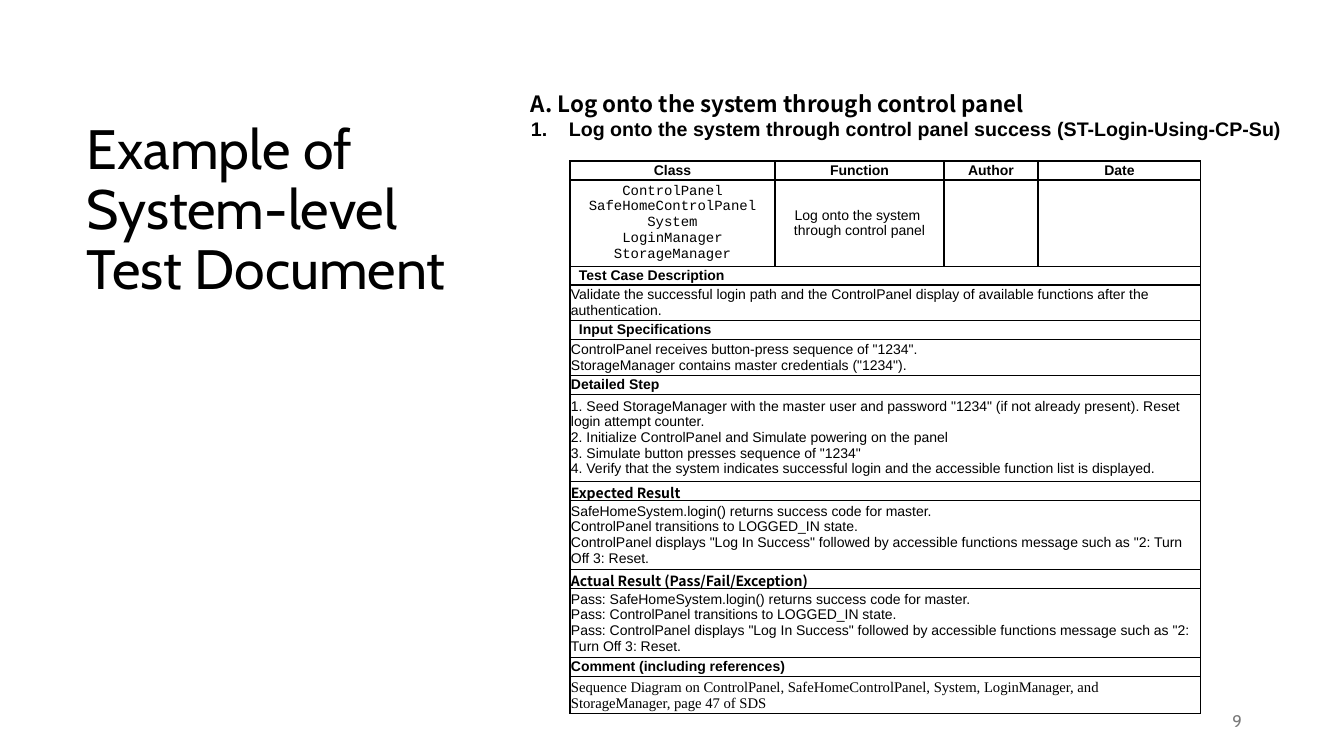
import pptx
import pptx.util
import pptx.dml.color
import pptx.enum.text
import pptx.oxml
import pptx.oxml.ns

PX = 914400 / 100.8
COLORS = {"white": "FFFFFF", "black": "000000", "gray": "797979"}
ALIGN = pptx.enum.text.PP_ALIGN
ANCHOR = pptx.enum.text.MSO_ANCHOR
CJK = "Noto Sans CJK KR"


def px(n):
    return pptx.util.Emu(round(n * PX))


def write(p, text, size, font, bold=False, align=ALIGN.LEFT, color="black"):
    p.text = text
    p.alignment = align
    p.font.size = pptx.util.Pt(size)
    p.font.name = font
    p.font.bold = bold
    p.font.color.rgb = pptx.dml.color.RGBColor.from_string(COLORS[color])
    pPr = p._p.get_or_add_pPr()
    for tag in ("ea", "cs"):
        pPr.defRPr.append(pptx.oxml.parse_xml(
            f'<a:{tag} {pptx.oxml.ns.nsdecls("a")} typeface="{font}"/>'))
    return pPr


prs = pptx.Presentation()
prs.slide_width, prs.slide_height = px(1344), px(756)
s = prs.slides.add_slide(prs.slide_layouts[6])

# Title, heading and page number boxes
boxes = []
for left, top, width, height, anchor in [
    (77, 137, 382, 149, ANCHOR.MIDDLE),
    (521, 85, 789, 61, ANCHOR.TOP),
    (950, 701, 302, 40, ANCHOR.MIDDLE),
]:
    tf = s.shapes.add_textbox(px(left), px(top), px(width), px(height)).text_frame
    tf.word_wrap = True
    tf.vertical_anchor = anchor
    boxes.append(tf)
title, heading, number = boxes

write(title.paragraphs[0], "Example of System-level Test Document", 39.6, "Cabin")
title.paragraphs[0].line_spacing = 0.9
write(number.paragraphs[0], "9", 12, "Cabin", align=ALIGN.RIGHT, color="gray")
write(heading.paragraphs[0], "A. Log onto the system through control panel", 16, CJK, True)
pPr = write(heading.add_paragraph(),
            "Log onto the system through control panel success (ST-Login-Using-CP-Su)",
            14, "Arial", True)
pPr.set("marL", str(px(38)))
pPr.set("indent", str(-px(38)))
pPr.insert(0, pptx.oxml.parse_xml(
    f'<a:buAutoNum {pptx.oxml.ns.nsdecls("a")} type="arabicPeriod"/>'))

# Table content: the top grid, then full-width sections
grid = [
    ["Class", "Function", "Author", "Date"],
    [["ControlPanel\vSafeHomeControlPanel\vSystem", "LoginManager", "StorageManager"],
     "Log onto the system \vthrough control panel", "", ""],
]
# heading, heading font, first-line indent, body lines, body font, body size
sections = [
    ("Test Case Description", "Arial", 8, [
        "Validate the successful login path and the ControlPanel display of "
        "available functions after the authentication."], "Arial", 10),
    ("Input Specifications", "Arial", 8, [
        'ControlPanel receives button-press sequence of "1234".',
        'StorageManager contains master credentials ("1234").'], "Arial", 10),
    ("Detailed Step", "Arial", 0, [
        '1. Seed StorageManager with the master user and password "1234" '
        "(if not already present). Reset login attempt counter.",
        "2. Initialize ControlPanel and Simulate powering on the panel",
        '3. Simulate button presses sequence of "1234"',
        "4. Verify that the system indicates successful login and the "
        "accessible function list is displayed."], "Arial", 10),
    ("Expected Result", CJK, 0, [
        "SafeHomeSystem.login() returns success code for master.",
        "ControlPanel transitions to LOGGED_IN state.",
        'ControlPanel displays "Log In Success" followed by accessible '
        'functions message such as "2: Turn Off 3: Reset.'], "Arial", 10),
    ("Actual Result (Pass/Fail/Exception)", CJK, 0, [
        "Pass: SafeHomeSystem.login() returns success code for master.",
        "Pass: ControlPanel transitions to LOGGED_IN state.",
        'Pass: ControlPanel displays "Log In Success" followed by accessible '
        'functions message such as "2: Turn Off 3: Reset.'], "Arial", 10),
    ("Comment (including references)", "Arial", 0, [
        "Sequence Diagram on ControlPanel, SafeHomeControlPanel, System, "
        "LoginManager, and StorageManager, page 47 of SDS"], "Times New Roman", 10.5),
]
col_widths = [205, 169, 94, 163]
row_heights = [19, 86, 18, 35, 19, 35, 18, 87, 19, 69, 18, 69, 19, 37]

table = s.shapes.add_table(len(row_heights), len(col_widths), px(570), px(161),
                           px(sum(col_widths)), px(sum(row_heights))).table
for column, width in zip(table.columns, col_widths):
    column.width = px(width)
for row, height in zip(table.rows, row_heights):
    row.height = px(height)

# Cell fill, margins and borders
for cell in table.iter_cells():
    cell.fill.solid()
    cell.fill.fore_color.rgb = pptx.dml.color.RGBColor.from_string(COLORS["white"])
    cell.margin_left = cell.margin_right = cell.margin_top = cell.margin_bottom = px(1)
    cell.vertical_anchor = ANCHOR.MIDDLE
    tcPr = cell._tc.get_or_add_tcPr()
    for i, side in enumerate(("lnL", "lnR", "lnT", "lnB")):
        tcPr.insert(i, pptx.oxml.parse_xml(
            f'<a:{side} {pptx.oxml.ns.nsdecls("a")} w="12700"><a:solidFill>'
            f'<a:srgbClr val="{COLORS["black"]}"/></a:solidFill></a:{side}>'))

# Top grid text
for r, texts in enumerate(grid):
    for c, text in enumerate(texts):
        tf = table.cell(r, c).text_frame
        lines = text if isinstance(text, list) else [text]
        font = "Courier New" if len(lines) > 1 else "Arial"
        for i, line in enumerate(lines):
            p = tf.add_paragraph() if i else tf.paragraphs[0]
            write(p, line, 10, font, r == 0, ALIGN.CENTER)

# Section text
for n, (name, name_font, indent, lines, font, size) in enumerate(sections):
    head, body = [table.cell(len(grid) + 2 * n + k, 0) for k in (0, 1)]
    for k, cell in enumerate((head, body)):
        cell.merge(table.cell(len(grid) + 2 * n + k, len(col_widths) - 1))
    pPr = write(head.text_frame.paragraphs[0], name, 10, name_font, True)
    pPr.set("indent", str(px(indent)))
    for i, line in enumerate(lines):
        p = body.text_frame.add_paragraph() if i else body.text_frame.paragraphs[0]
        write(p, line, size, font)

prs.save("out.pptx")
